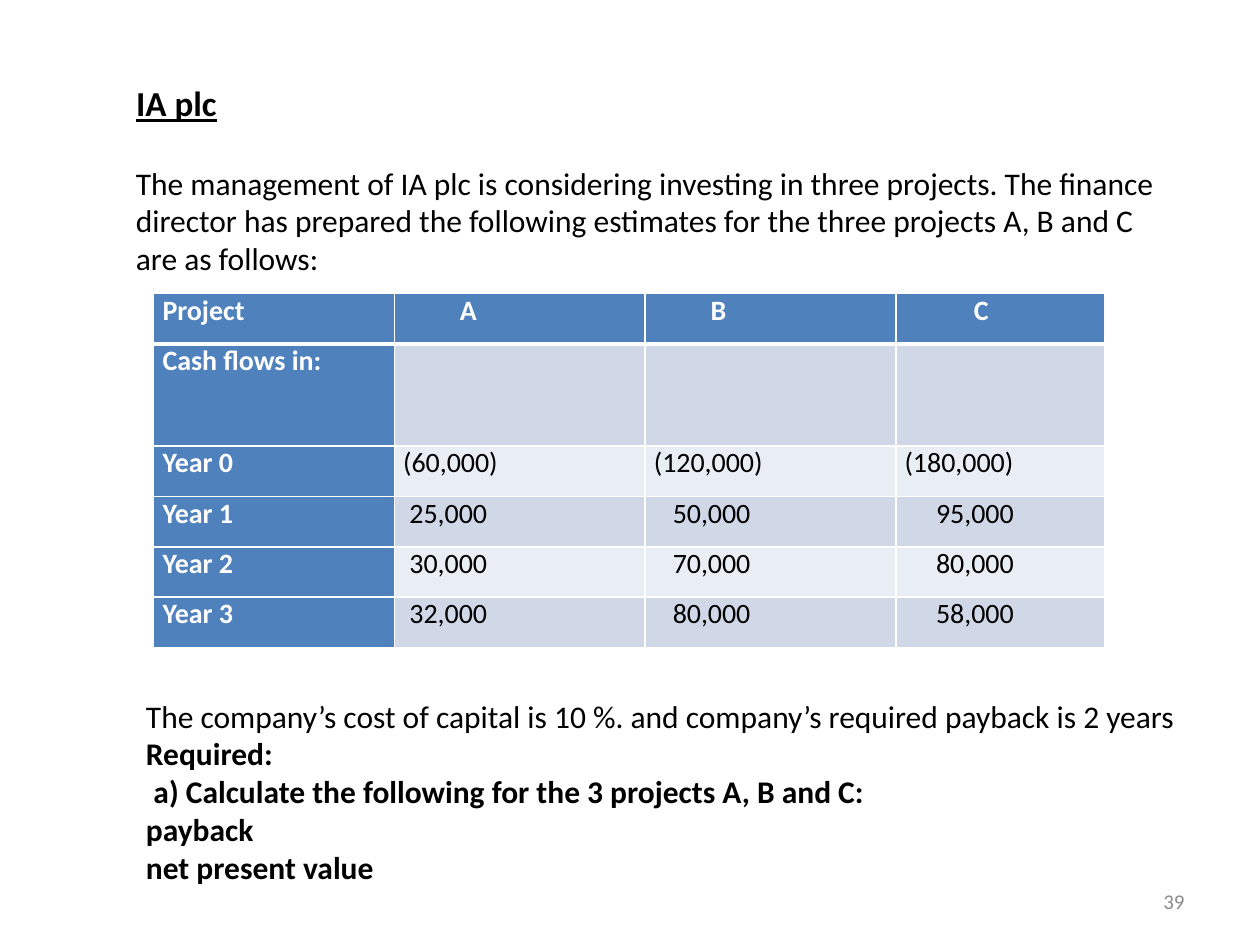
import dataclasses
import typing

import lxml.etree
import pptx
import pptx.dml.color
import pptx.enum.text
import pptx.oxml.ns
import pptx.util

Inches = pptx.util.Inches
Pt = pptx.util.Pt
Align = pptx.enum.text.PP_ALIGN
Anchor = pptx.enum.text.MSO_ANCHOR
RGBColor = pptx.dml.color.RGBColor

BLACK = RGBColor(0x00, 0x00, 0x00)
WHITE = RGBColor(0xFF, 0xFF, 0xFF)
GREY = RGBColor(0x8C, 0x8C, 0x8C)
BLUE = RGBColor(0x4F, 0x81, 0xBD)
BANDS = (RGBColor(0xD0, 0xD8, 0xE8), RGBColor(0xE9, 0xED, 0xF4))
FONT = "Calibri"


@dataclasses.dataclass(frozen=True)
class Line:
    text: str
    size: int = 18
    color: RGBColor = BLACK
    bold: bool = False
    underline: bool = False
    indent: float = 0
    align: Align = Align.LEFT


@dataclasses.dataclass(frozen=True)
class Area:
    left: float
    top: float
    width: float
    height: float

    def lengths(self) -> list[int]:
        return [Inches(value) for value in dataclasses.astuple(self)]


@dataclasses.dataclass(frozen=True)
class Row:
    label: str
    values: tuple[str, ...]
    indents: tuple[float, ...]
    height: float = 0.4


TITLE_AREA = Area(0.98, 0.6, 8.35, 0.45)
INTRO_AREA = Area(0.98, 1.25, 8.35, 1.3)
TABLE_AREA = Area(1.22, 2.33, 7.56, 2.83)
TASK_AREA = Area(1.06, 5.48, 8.79, 1.6)
NUMBER_AREA = Area(7.17, 6.95, 2.33, 0.4)

COLUMNS = (1.91, 1.99, 1.99, 1.66)
NO_INDENT = (0, 0, 0)
YEAR_INDENTS = (0.05, 0.15, 0.25)
ROWS = (
    Row("Project", ("A", "B", "C"), (0.45, 0.45, 0.55)),
    Row("Cash flows in:", ("", "", ""), NO_INDENT, 0.81),
    Row("Year 0", ("(60,000)", "(120,000)", "(180,000)"), NO_INDENT),
    Row("Year 1", ("25,000", "50,000", "95,000"), YEAR_INDENTS),
    Row("Year 2", ("30,000", "70,000", "80,000"), YEAR_INDENTS),
    Row("Year 3", ("32,000", "80,000", "58,000"), YEAR_INDENTS),
)

TITLE = Line("IA plc", size=20, bold=True, underline=True)
INTRO = Line(
    "The management of IA plc is considering investing in three projects. "
    "The finance director has prepared the following estimates for the three "
    "projects A, B and C are as follows:"
)
TASK = (
    Line("The company’s cost of capital is 10 %. and company’s required payback is 2 years"),
    Line("Required:", bold=True),
    Line("a) Calculate the following for the 3 projects A, B and C:", bold=True, indent=0.06),
    Line("payback", bold=True),
    Line("net present value", bold=True),
)
NUMBER = Line("39", size=12, color=GREY, align=Align.RIGHT)


def write_lines(frame: typing.Any, lines: typing.Sequence[Line]) -> None:
    for index, line in enumerate(lines):
        para = frame.add_paragraph() if index else frame.paragraphs[0]
        para.alignment = line.align
        if line.indent:
            properties = para._p.get_or_add_pPr()
            properties.set("marL", str(Inches(line.indent)))
            properties.set("indent", "0")
        span = para.add_run()
        span.text = line.text
        span.font.name = FONT
        span.font.size = Pt(line.size)
        span.font.bold = line.bold
        span.font.underline = line.underline
        span.font.color.rgb = line.color


def set_frame(frame: typing.Any, anchor: Anchor) -> None:
    frame.word_wrap = True
    frame.auto_size = pptx.enum.text.MSO_AUTO_SIZE.NONE
    frame.vertical_anchor = anchor


def add_title(page: typing.Any, area: Area, line: Line) -> None:
    title = page.shapes.title
    title.left, title.top, title.width, title.height = area.lengths()
    set_frame(title.text_frame, Anchor.TOP)
    write_lines(title.text_frame, [line])


def add_text(
    page: typing.Any, area: Area, lines: typing.Sequence[Line], anchor: Anchor = Anchor.TOP
) -> None:
    box = page.shapes.add_textbox(*area.lengths())
    set_frame(box.text_frame, anchor)
    write_lines(box.text_frame, lines)


def set_borders(cell: typing.Any, top: float, bottom: float) -> None:
    properties = cell._tc.get_or_add_tcPr()
    sides = (("a:lnL", 1), ("a:lnR", 1), ("a:lnT", top), ("a:lnB", bottom))
    for index, (tag, width) in enumerate(sides):
        border = lxml.etree.Element(pptx.oxml.ns.qn(tag), w=str(Pt(width)))
        fill = lxml.etree.SubElement(border, pptx.oxml.ns.qn("a:solidFill"))
        lxml.etree.SubElement(fill, pptx.oxml.ns.qn("a:srgbClr"), val=str(WHITE))
        properties.insert(index, border)


def add_project_table(page: typing.Any) -> None:
    shape = page.shapes.add_table(len(ROWS), len(COLUMNS), *TABLE_AREA.lengths())
    table = shape.table
    table.first_col = True
    for column, width in zip(table.columns, COLUMNS):
        column.width = Inches(width)
    for row_index, row in enumerate(ROWS):
        table.rows[row_index].height = Inches(row.height)
        texts = (row.label, *row.values)
        indents = (0, *row.indents)
        for column_index, (text, indent) in enumerate(zip(texts, indents)):
            cell = table.cell(row_index, column_index)
            heading = row_index == 0 or column_index == 0
            cell.margin_left = cell.margin_right = Inches(0.07)
            cell.margin_top = cell.margin_bottom = 0
            cell.fill.solid()
            cell.fill.fore_color.rgb = BLUE if heading else BANDS[(row_index - 1) % 2]
            set_borders(cell, 3 if row_index == 1 else 1, 3 if row_index == 0 else 1)
            if text:
                color = WHITE if heading else BLACK
                line = Line(text, size=16, color=color, bold=heading, indent=indent)
                write_lines(cell.text_frame, [line])


def main() -> None:
    deck = pptx.Presentation()
    deck.slide_width = Inches(10)
    deck.slide_height = Inches(7.5)
    page = deck.slides.add_slide(deck.slide_layouts.get_by_name("Title Only"))
    page.background.fill.solid()
    page.background.fill.fore_color.rgb = WHITE
    add_text(page, NUMBER_AREA, [NUMBER], Anchor.MIDDLE)
    add_title(page, TITLE_AREA, TITLE)
    add_text(page, INTRO_AREA, [INTRO])
    add_project_table(page)
    add_text(page, TASK_AREA, TASK)
    deck.save("out.pptx")


if __name__ == "__main__":
    main()
